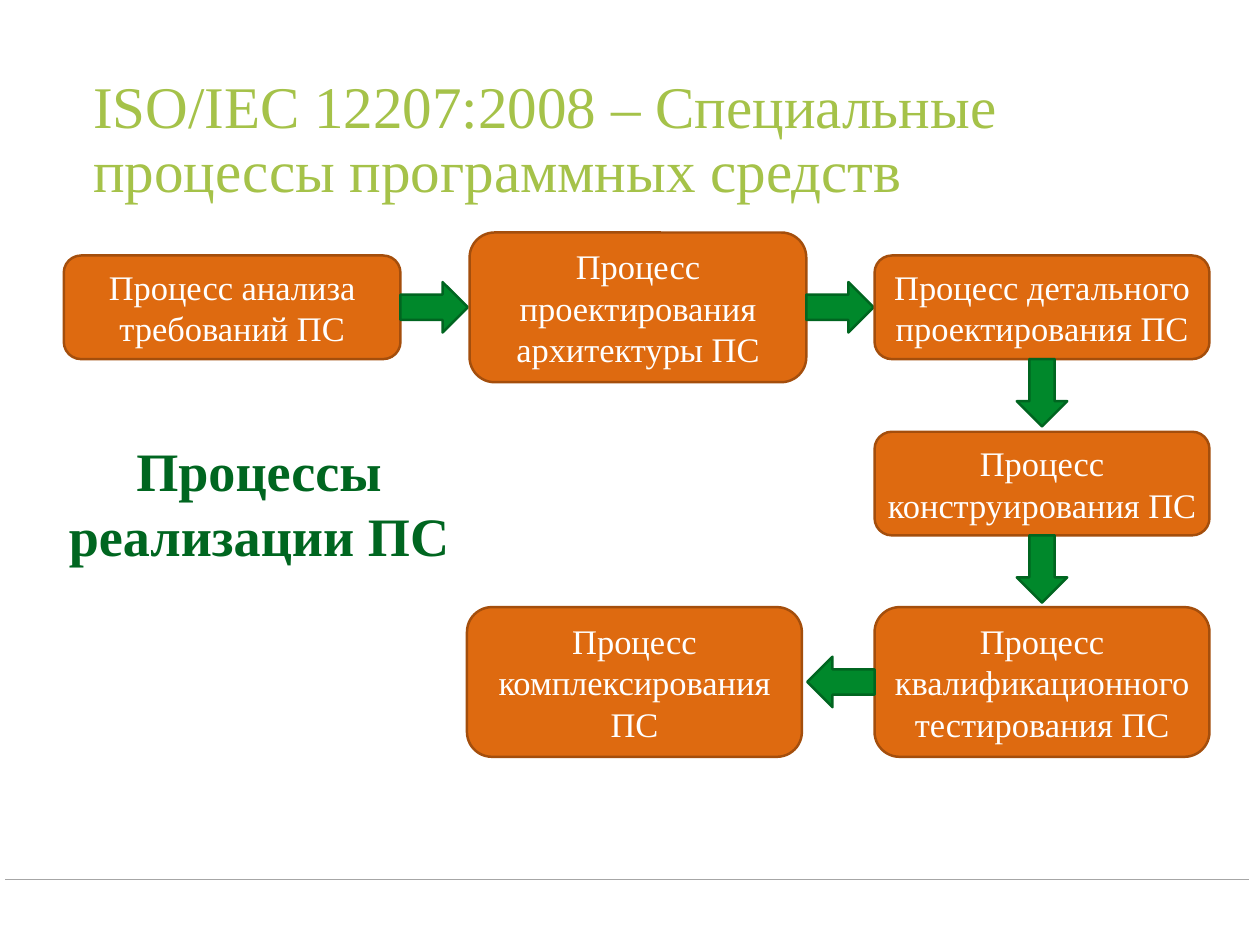
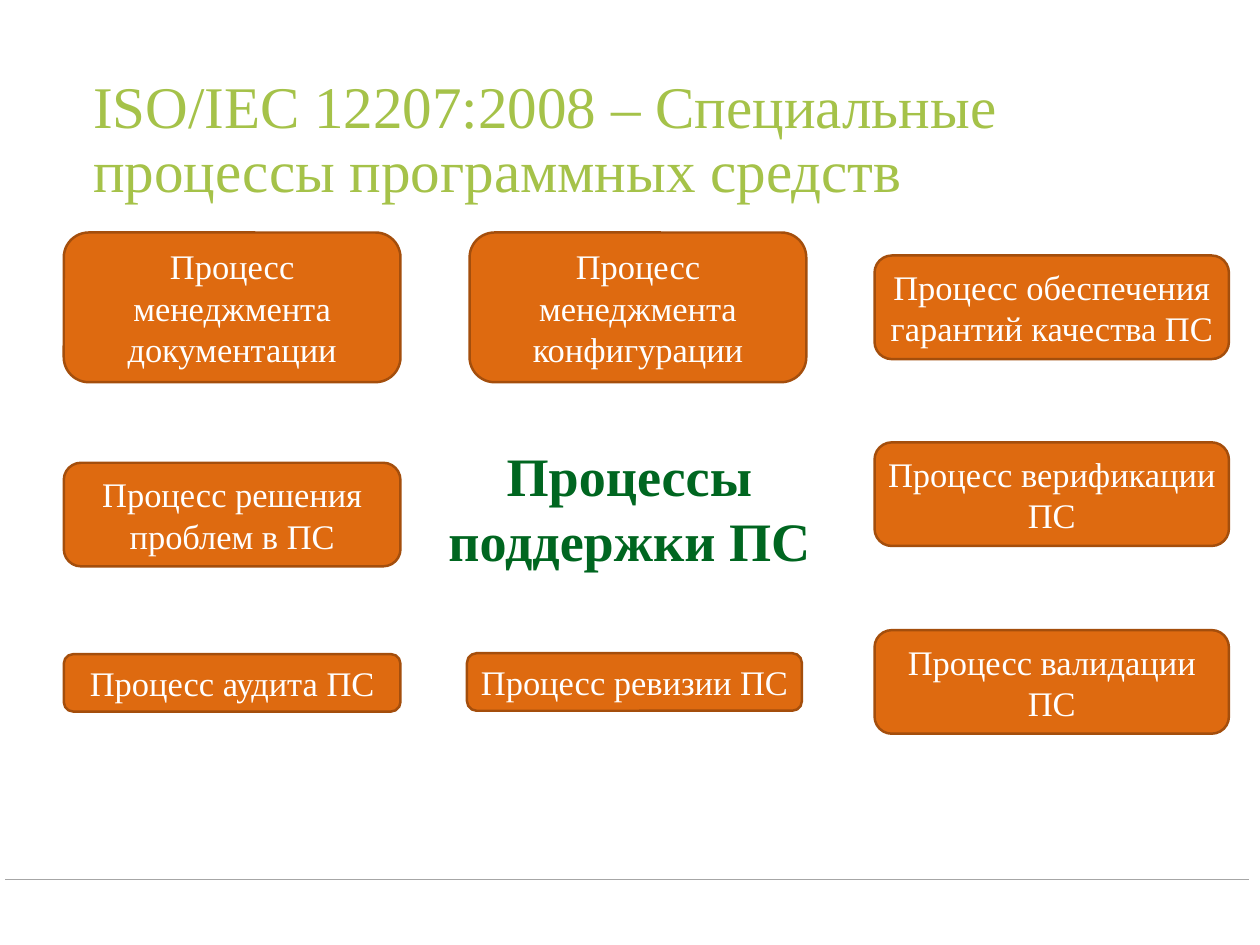
import math

import pptx
import pptx.dml.color
import pptx.enum.shapes
import pptx.enum.text
import pptx.util
from lxml import etree

Inches = pptx.util.Inches
Pt = pptx.util.Pt
SHAPE = pptx.enum.shapes.MSO_SHAPE
ALIGN = pptx.enum.text.PP_ALIGN
ANCHOR = pptx.enum.text.MSO_ANCHOR

FONT = "Times New Roman"
TITLE = "ISO/IEC 12207:2008 – Специальные процессы программных средств"
COLORS = {
    "title": "A5C249", "rule": "A6A6A6", "text": "FFFFFF", "back": "FFFFFF",
    "box": "DE6A10", "edge": "A44E0C",
    "arrow": "00882B", "rim": "006520", "label": "006620",
}
COLS = (0.72, 5.3, 9.87)
TOP, LOW = 3.47, 7.7
WIDE = 3.8
RIGHT, DOWN, LEFT = 0, 90, 180


def color(name):
    return pptx.dml.color.RGBColor.from_string(COLORS[name])


def paint(shape, fill, line=None):
    shape.shadow.inherit = False
    shape.fill.solid()
    shape.fill.fore_color.rgb = color(fill)
    if line:
        shape.line.color.rgb = color(line)
        shape.line.width = Pt(2)
    else:
        shape.line.fill.background()


def write(shape, text, size, ink, inset, align=ALIGN.CENTER, bold=False):
    frame = shape.text_frame
    frame.word_wrap = True
    frame.auto_size = pptx.enum.text.MSO_AUTO_SIZE.NONE
    frame.vertical_anchor = ANCHOR.MIDDLE
    frame.margin_left = frame.margin_right = Inches(inset)
    frame.margin_top = frame.margin_bottom = Inches(inset)
    frame.text = text
    para = frame.paragraphs[0]
    para.alignment = align
    para.font.name = FONT
    para.font.size = Pt(size)
    para.font.bold = bold
    para.font.color.rgb = color(ink)
    return para


def start(deck):
    """Add a slide with the shared title and bottom rule."""
    slide = deck.slides.add_slide(deck.slide_layouts[5])
    title = slide.shapes.title
    title.left, title.top = Inches(0.98), Inches(0.57)
    title.width, title.height = Inches(12.27), Inches(2.06)
    write(title, TITLE, 48, "title", 0.07, ALIGN.LEFT).line_spacing = 0.9
    rule = slide.shapes.add_connector(
        pptx.enum.shapes.MSO_CONNECTOR.STRAIGHT,
        Inches(0.06), Inches(9.93), Inches(14.1), Inches(9.93))
    rule.line.color.rgb = color("rule")
    rule.line.width = Pt(1)
    props = rule.element.spPr
    etree.SubElement(props, pptx.oxml.ns.qn("a:effectLst"))
    return slide


def add_box(slide, text, left, mid, lines, width=WIDE):
    """Add a process box, centred on mid, tall enough for its lines."""
    high = 0.13 + 0.52 * lines
    box = slide.shapes.add_shape(
        SHAPE.ROUNDED_RECTANGLE, Inches(left), Inches(mid - high / 2),
        Inches(width), Inches(high))
    paint(box, "box", "edge")
    write(box, text, 28, "text", 0.06)
    return box


def add_arrow(slide, box, turn):
    """Add an arrow that leaves the edge of box in the direction turn."""
    long, high = Inches(0.76), Inches(0.57)
    angle = math.radians(turn)
    mid_x = box.left + box.width / 2 + math.cos(angle) * (box.width + long) / 2
    mid_y = box.top + box.height / 2 + math.sin(angle) * (box.height + long) / 2
    arrow = slide.shapes.add_shape(
        SHAPE.RIGHT_ARROW, round(mid_x - long / 2), round(mid_y - high / 2),
        long, high)
    arrow.rotation = turn
    paint(arrow, "arrow", "rim")


def add_label(slide, text, left, top):
    label = slide.shapes.add_shape(
        SHAPE.ROUNDED_RECTANGLE, Inches(left), Inches(top),
        Inches(4.97), Inches(1.76))
    paint(label, "back")
    write(label, text, 44, "label", 0.06, bold=True)


def build_flow(deck):
    slide = start(deck)
    steps = (
        ("Процесс анализа требований ПС", COLS[0], TOP, 2, WIDE, RIGHT),
        ("Процесс проектирования архитектуры ПС", COLS[1], TOP, 3, WIDE, RIGHT),
        ("Процесс детального проектирования ПС", COLS[2], TOP, 2, 3.78, DOWN),
        ("Процесс конструирования ПС", COLS[2], 5.46, 2, 3.78, DOWN),
        ("Процесс квалификационного тестирования ПС",
         COLS[2], LOW, 3, 3.78, LEFT),
        ("Процесс комплексирования ПС", 5.27, LOW, 3, 3.78, None),
    )
    for *place, turn in steps:
        box = add_box(slide, *place)
        if turn is not None:
            add_arrow(slide, box, turn)
    add_label(slide, "Процессы реализации ПС", 0.44, 4.79)


def build_support(deck):
    slide = start(deck)
    items = (
        ("Процесс менеджмента документации", COLS[0], TOP, 3, WIDE),
        ("Процесс менеджмента конфигурации", COLS[1], TOP, 3, WIDE),
        ("Процесс обеспечения гарантий качества ПС", COLS[2], TOP, 2, 4),
        ("Процесс решения проблем в ПС", COLS[0], 5.81, 2, WIDE),
        ("Процесс верификации ПС", COLS[2], 5.58, 2, 4),
        ("Процесс аудита ПС", COLS[0], 7.71, 1, WIDE),
        ("Процесс ревизии ПС", 5.27, LOW, 1, 3.78),
        ("Процесс валидации ПС", COLS[2], LOW, 2, 4),
    )
    for item in items:
        add_box(slide, *item)
    add_label(slide, "Процессы поддержки ПС", 4.62, 4.85)


def main():
    deck = pptx.Presentation()
    deck.slide_width, deck.slide_height = Inches(14.22), Inches(10.67)
    build_flow(deck)
    build_support(deck)
    deck.save("out.pptx")


if __name__ == "__main__":
    main()
